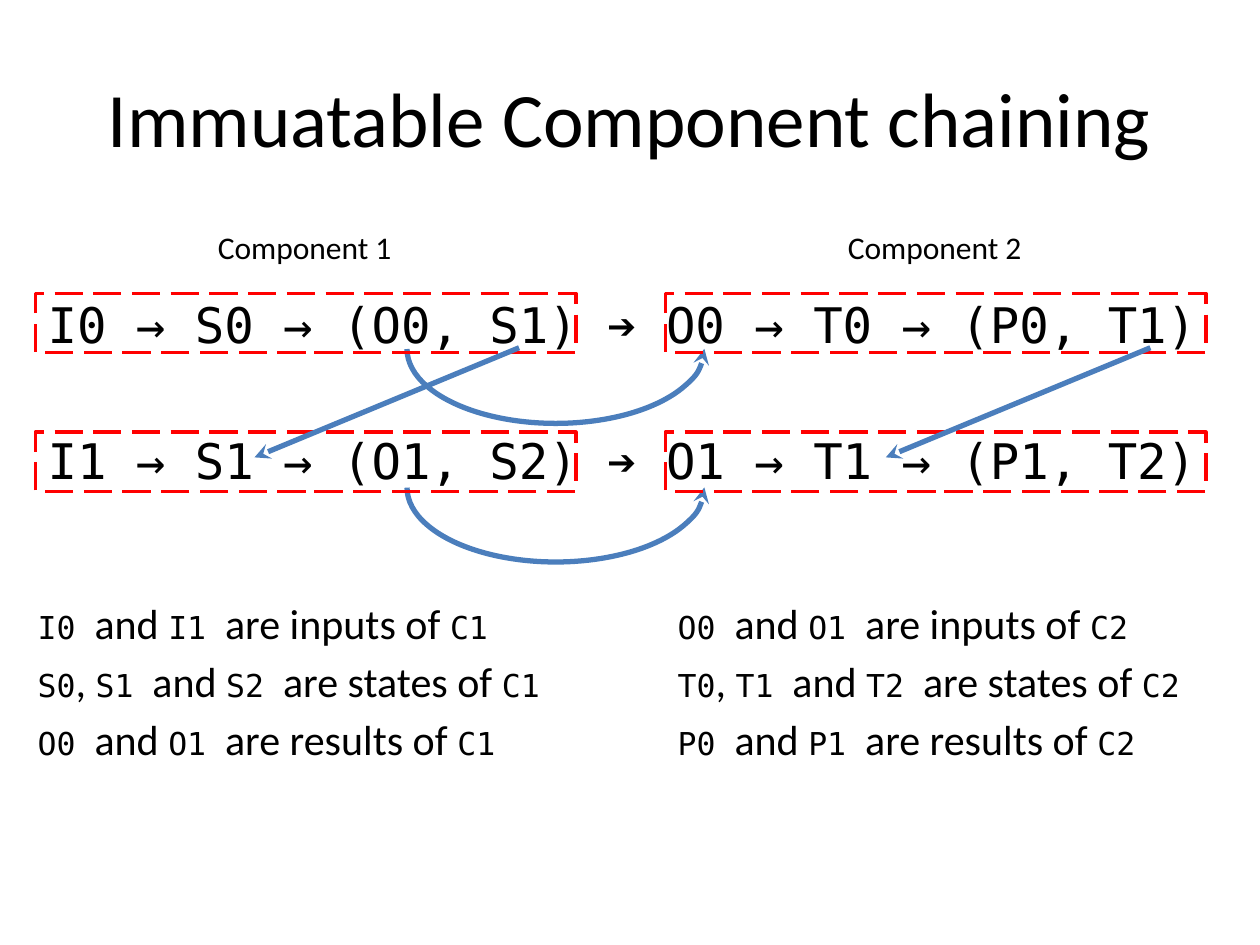
from pptx import Presentation
from pptx.dml.color import RGBColor
from pptx.enum import dml, shapes, text
from pptx.oxml.ns import qn
from pptx.util import Inches, Pt
from lxml import etree

COLORS = {"ink": "000000", "arrow": "4B7EBC", "frame": "FF0000"}
SANS, MONO = ("Calibri", 24), ("DejaVu Sans Mono", 18)
CODE = ("DejaVu Sans Mono", 28)

TITLE = "Immuatable Component chaining"
CHAINS = [
    "I0 → S0 → (O0, S1) ➔ O0 → T0 → (P0, T1)",
    "I1 → S1 → (O1, S2) ➔ O1 → T1 → (P1, T2)",
]
# Each part: input, state and result letters, text left, text width, label left, arrow start
PARTS = [
    ("1", "I", "S", "O", 0.2, 4.72, 1.63, 4.12),
    ("2", "O", "T", "P", 5.28, 4.53, 6.63, 9.13),
]
FRAMES = [0.28, 5.28]
TOP, PITCH = 2.33, 1.1

deck = Presentation()
deck.slide_width, deck.slide_height = Inches(10), Inches(7.5)
slide = deck.slides.add_slide(deck.slide_layouts[6])


def color(name):
    """Look up a named colour."""
    return RGBColor.from_string(COLORS[name])


def add_text(box, lines, gap=0, align=text.PP_ALIGN.LEFT,
             anchor=text.MSO_ANCHOR.TOP, wrap=True):
    """Add a text box; each line is a list of (words, (font, size)) runs."""
    frame = slide.shapes.add_textbox(*map(Inches, box)).text_frame
    frame.word_wrap, frame.vertical_anchor = wrap, anchor
    for i, line in enumerate(lines):
        para = frame.add_paragraph() if i else frame.paragraphs[0]
        para.alignment = align
        para.space_before = Pt(gap if i else 0)
        for words, (font, size) in line:
            run = para.add_run()
            run.text = words
            run.font.name, run.font.size = font, Pt(size)
            run.font.color.rgb = color("ink")


def add_shape(kind, box, tint, width):
    """Add an unfilled outline shape."""
    shape = slide.shapes.add_shape(kind, *map(Inches, box))
    shape.shadow.inherit = False
    shape.fill.background()
    shape.line.color.rgb, shape.line.width = color(tint), Pt(width)
    return shape


def add_tip(shape, end):
    """Put a stealth arrowhead on one end of a line."""
    etree.SubElement(shape.line._get_or_add_ln(), qn("a:" + end), type="stealth")


def add_arrow(start, end):
    """Add a straight arrow."""
    line = slide.shapes.add_connector(
        shapes.MSO_CONNECTOR.STRAIGHT, *map(Inches, start + end))
    line.line.color.rgb, line.line.width = color("arrow"), Pt(3)
    add_tip(line, "tailEnd")
    etree.SubElement(line._element.spPr, qn("a:effectLst"))


def notes(num, inp, state, out):
    """Build the three lines that explain one component."""
    def pair(name, role):
        return [(name + "0 ", MONO), ("and ", SANS), (name + "1 ", MONO),
                (f"are {role} of ", SANS), ("C" + num, MONO)]
    states = [(state + "0", MONO), (", ", SANS), (state + "1 ", MONO),
              ("and ", SANS), (state + "2 ", MONO),
              ("are states of ", SANS), ("C" + num, MONO)]
    return [pair(inp, "inputs"), states, pair(out, "results")]


add_text((0.5, 0.3, 9, 1.25), [[(TITLE, ("Calibri", 44))]],
         align=text.PP_ALIGN.CENTER, anchor=text.MSO_ANCHOR.MIDDLE)
for num, inp, state, out, left, width, label, start in PARTS:
    add_text((left, 4.69, width, 1.5), notes(num, inp, state, out), gap=4.5)
add_text((0.28, 2.29, 9.45, 1.73), [[(chain, CODE)] for chain in CHAINS], gap=44)

for row in range(len(CHAINS)):
    shift = row * PITCH
    arc = add_shape(shapes.MSO_SHAPE.ARC, (3.23, 2.18 + shift, 2.36, 1.18), "arrow", 3)
    arc.rotation = 180
    arc.adjustments[0], arc.adjustments[1] = 107.94, 0
    add_tip(arc, "headEnd")
    for left in FRAMES:
        frame = add_shape(shapes.MSO_SHAPE.RECTANGLE,
                          (left, TOP + shift, 4.29, 0.47), "frame", 2)
        frame.line.dash_style = dml.MSO_LINE.LONG_DASH

for num, *_, label, start in PARTS:
    add_arrow((start, 2.76), (start - 2.1, 3.63))
    add_text((label, 1.76, 1.58, 0.4),
             [[("Component " + num, ("Calibri", 18))]], wrap=False)

deck.save("out.pptx")
